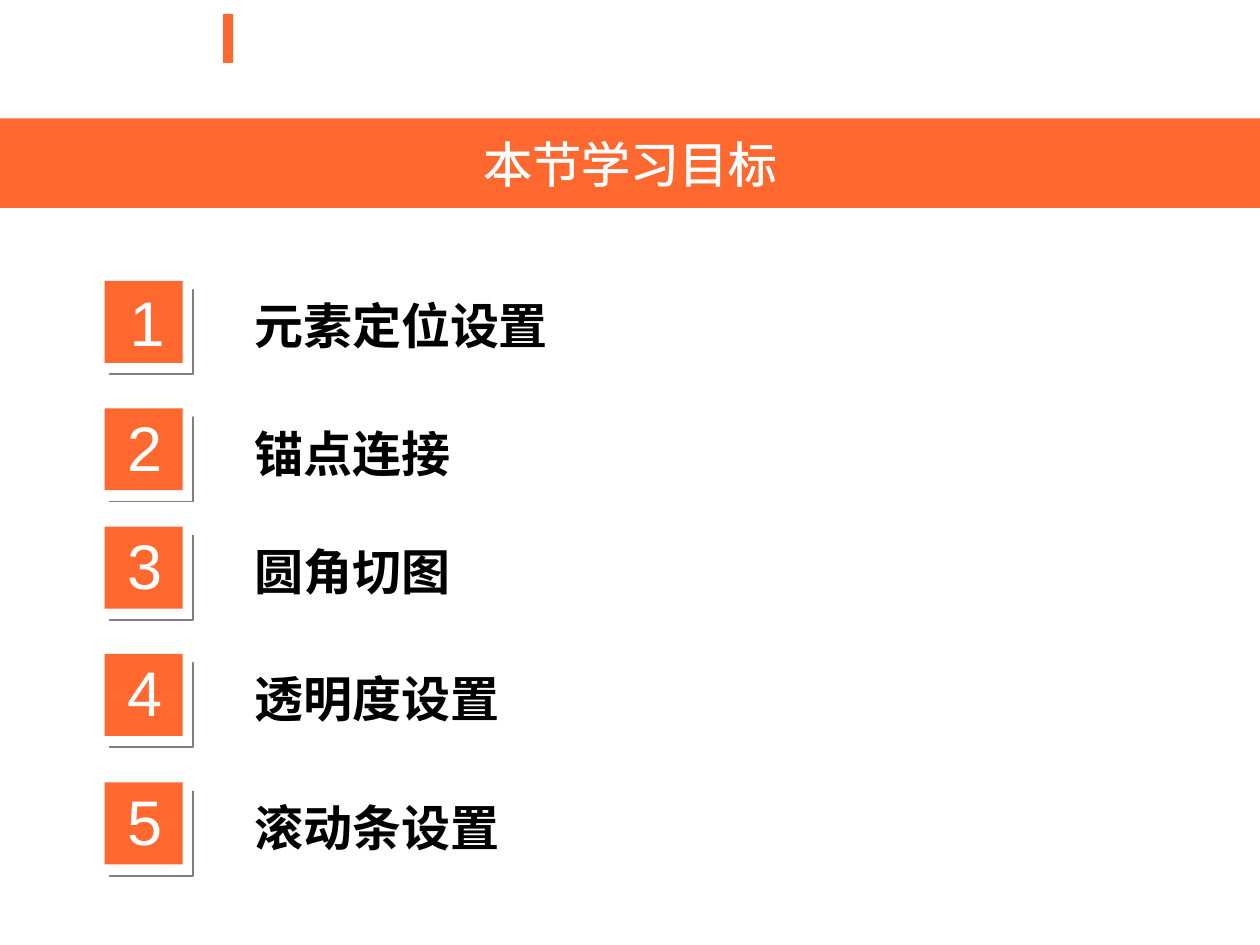
"""Builds the slide listing the learning goals of this section."""
from dataclasses import dataclass

from lxml import etree
from pptx import Presentation
from pptx.dml.color import RGBColor
from pptx.enum import shapes, text
from pptx.oxml.ns import qn
from pptx.util import Inches, Pt

ORANGE = RGBColor(0xFF, 0x68, 0x2F)
WHITE = RGBColor(0xFF, 0xFF, 0xFF)
BLACK = RGBColor(0, 0, 0)
GRAY = RGBColor(0x7F, 0x7F, 0x7F)
LIGHT_GRAY = RGBColor(0xAF, 0xAB, 0xAB)
FONT = "Arial"


@dataclass
class Goal:
    label: str
    top: float
    number_left: float = 0.91
    number_rise: float = 0.05


GOALS = [
    Goal("元素定位设置", 2.23, 0.93, 0.03),
    Goal("锚点连接", 3.24),
    Goal("圆角切图", 4.18),
    Goal("透明度设置", 5.19),
    Goal("滚动条设置", 6.21),
]


def style_text(shape, content: str, size: int, color: RGBColor, bold: bool = False):
    """Write one run of text and return it."""
    paragraph = shape.text_frame.paragraphs[0]
    paragraph.text = content
    run = paragraph.runs[0]
    run.font.name = FONT
    run.font.size = Pt(size)
    run.font.bold = bold
    run.font.color.rgb = color
    return run


def add_block(slide, left: float, top: float, width: float, height: float):
    """Add a plain orange rectangle."""
    block = slide.shapes.add_shape(
        shapes.MSO_SHAPE.RECTANGLE,
        Inches(left), Inches(top), Inches(width), Inches(height))
    block.shadow.inherit = False
    block.fill.solid()
    block.fill.fore_color.rgb = ORANGE
    block.line.fill.background()
    return block


def add_text(slide, left: float, top: float, width: float, height: float,
             content: str, size: int, color: RGBColor, bold: bool = False) -> None:
    """Add a wrapping text box that grows with its text."""
    box = slide.shapes.add_textbox(
        Inches(left), Inches(top), Inches(width), Inches(height))
    box.text_frame.word_wrap = True
    box.text_frame.auto_size = text.MSO_AUTO_SIZE.SHAPE_TO_FIT_TEXT
    style_text(box, content, size, color, bold)


def add_corner(slide, left: float, top: float, right: float, bottom: float) -> None:
    """Add the thin corner line below and right of a number block."""
    builder = slide.shapes.build_freeform(Inches(left), Inches(bottom))
    builder.add_line_segments(
        [(Inches(x), Inches(y))
         for x, y in ((right, bottom), (right, top), (right, bottom))])
    corner = builder.convert_to_shape()
    corner.shadow.inherit = False
    corner.fill.solid()
    corner.fill.fore_color.rgb = LIGHT_GRAY
    corner.line.color.rgb = GRAY
    corner.line.width = Pt(1)


def add_title(slide, content: str) -> None:
    """Add the title band with outlined white text."""
    band = add_block(slide, 0, 0.94, 10, 0.71)
    band.text_frame.vertical_anchor = text.MSO_ANCHOR.MIDDLE
    band.text_frame.paragraphs[0].alignment = text.PP_ALIGN.CENTER
    run = style_text(band, content, 28, WHITE)
    outline = etree.Element(qn("a:ln"), w=str(Pt(1.45)))
    fill = etree.SubElement(outline, qn("a:solidFill"))
    etree.SubElement(fill, qn("a:srgbClr"), val=str(WHITE))
    run.font._element.insert(0, outline)


def add_goal(slide, number: int, goal: Goal) -> None:
    """Add one numbered goal."""
    add_block(slide, 0.83, goal.top, 0.62, 0.65)
    add_text(slide, goal.number_left, goal.top - goal.number_rise, 0.51, 0.71,
             str(number), 36, WHITE)
    add_corner(slide, 0.87, goal.top + 0.07, 1.53, goal.top + 0.74)
    add_text(slide, 1.92, goal.top + 0.07, 7.69, 0.57, goal.label, 28, BLACK, True)


def main() -> None:
    """Build and save the presentation."""
    presentation = Presentation()
    presentation.slide_width = Inches(10)
    presentation.slide_height = Inches(7.5)
    slide = presentation.slides.add_slide(presentation.slide_layouts[6])
    add_block(slide, 1.77, 0.11, 0.08, 0.39)
    add_title(slide, "本节学习目标")
    for number, goal in enumerate(GOALS, start=1):
        add_goal(slide, number, goal)
    presentation.save("out.pptx")


main()
